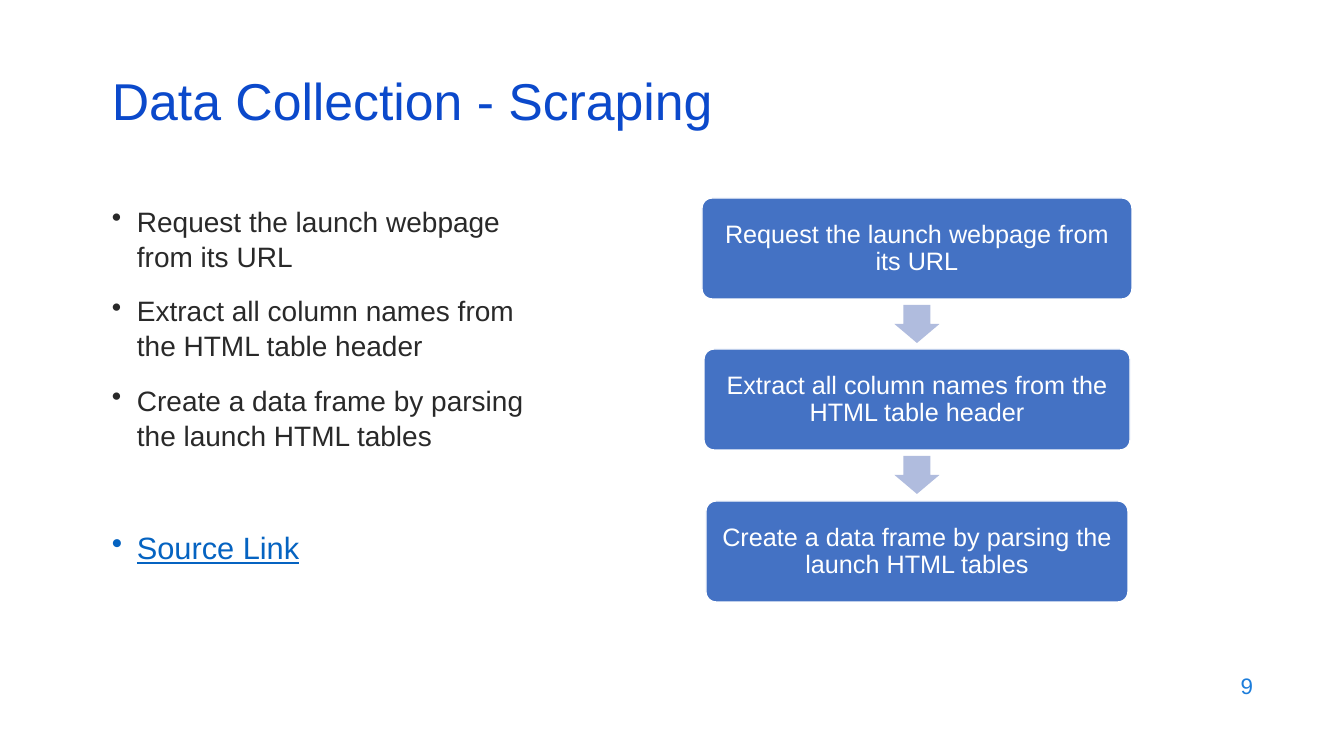
import pptx
import pptx.util
import pptx.dml.color
import pptx.enum.shapes
import pptx.enum.text
import pptx.oxml.ns
import lxml.etree

PX = 914400 / 100.8
SHAPE = pptx.enum.shapes.MSO_SHAPE
ALIGN = pptx.enum.text.PP_ALIGN
MID = pptx.enum.text.MSO_ANCHOR.MIDDLE
TOP = pptx.enum.text.MSO_ANCHOR.TOP

STEPS = [
    ("Request the launch webpage from its URL", 430),
    ("Extract all column names from the HTML table header", 426),
    ("Create a data frame by parsing the launch HTML tables", 422),
]


def px(n):
    return pptx.util.Emu(round(n * PX))


def color(code):
    return pptx.dml.color.RGBColor.from_string(code)


class Page:
    font = "Arial"
    ink = "292929"
    blue = "4472C4"
    pale = "B0BCDE"
    white = "FFFFFF"

    def __init__(self, deck):
        self.slide = deck.slides.add_slide(deck.slide_layouts[6])

    def words(self, para, text, size, code, line=False):
        run = para.add_run()
        run.text = text
        run.font.name = self.font
        run.font.size = pptx.util.Pt(size)
        run.font.color.rgb = color(code)
        if line:
            run.font.underline = True

    def frame(self, x, y, w, h, anchor=MID):
        """Add a wrapping text box and return its text frame."""
        box = self.slide.shapes.add_textbox(px(x), px(y), px(w), px(h))
        box.text_frame.word_wrap = True
        box.text_frame.vertical_anchor = anchor
        return box.text_frame

    def label(self, x, y, w, h, text, size, code, align=ALIGN.LEFT, space=1.0):
        para = self.frame(x, y, w, h).paragraphs[0]
        para.alignment = align
        para.line_spacing = space
        self.words(para, text, size, code)

    def bullets(self, x, y, w, h, items):
        """Each item is text, size, colour, underline and points before."""
        frame = self.frame(x, y, w, h, TOP)
        for i, (text, size, code, line, gap) in enumerate(items):
            para = frame.add_paragraph() if i else frame.paragraphs[0]
            props = para._p.get_or_add_pPr()
            props.set("marL", str(px(25)))
            props.set("indent", str(-px(25)))
            mark = lxml.etree.SubElement(props, pptx.oxml.ns.qn("a:buChar"))
            mark.set("char", "•")
            para.line_spacing = 1.04
            para.space_before = pptx.util.Pt(gap if i else 0)
            self.words(para, text, size, code, line)

    def shape(self, kind, x, y, w, h, fill, *adjust):
        item = self.slide.shapes.add_shape(kind, px(x), px(y), px(w), px(h))
        item.shadow.inherit = False
        item.fill.solid()
        item.fill.fore_color.rgb = color(fill)
        item.line.fill.background()
        for i, part in enumerate(adjust):
            item.adjustments[i] = part
        return item

    def step(self, mid, y, w, h, text):
        """Add a rounded box centred on mid."""
        box = self.shape(SHAPE.ROUNDED_RECTANGLE, mid - w / 2, y, w, h, self.blue, 0.1)
        box.line.color.rgb = color(self.white)
        box.line.width = pptx.util.Pt(1)
        frame = box.text_frame
        frame.word_wrap = True
        frame.vertical_anchor = MID
        frame.margin_left = frame.margin_right = px(10)
        para = frame.paragraphs[0]
        para.alignment = ALIGN.CENTER
        para.line_spacing = 0.9
        self.words(para, text, 18, self.white)

    def arrow(self, mid, y, w, h):
        self.shape(SHAPE.DOWN_ARROW, mid - w / 2, y, w, h, self.pale, 0.6, 0.5)


def main():
    deck = pptx.Presentation()
    deck.slide_width, deck.slide_height = px(1344), px(756)
    page = Page(deck)
    page.label(102, 77, 1158, 60, "Data Collection - Scraping", 37, "0B49CB", space=0.7)
    items = [(text, 20, page.ink, False, 14) for text, _ in STEPS]
    items.append(("Source Link", 22, "0563C1", True, 54))
    page.bullets(102, 198, 433, 420, items)

    mid, top = 917, 198
    for i, (text, wide) in enumerate(STEPS):
        y = top + i * 303 // 2
        page.step(mid, y, wide, 101, text)
        if i < len(STEPS) - 1:
            page.arrow(mid, y + 107, 45, 38)

    page.label(961, 664, 302, 44, "9", 16, "1C7DDB", ALIGN.RIGHT)
    deck.save("out.pptx")


if __name__ == "__main__":
    main()
